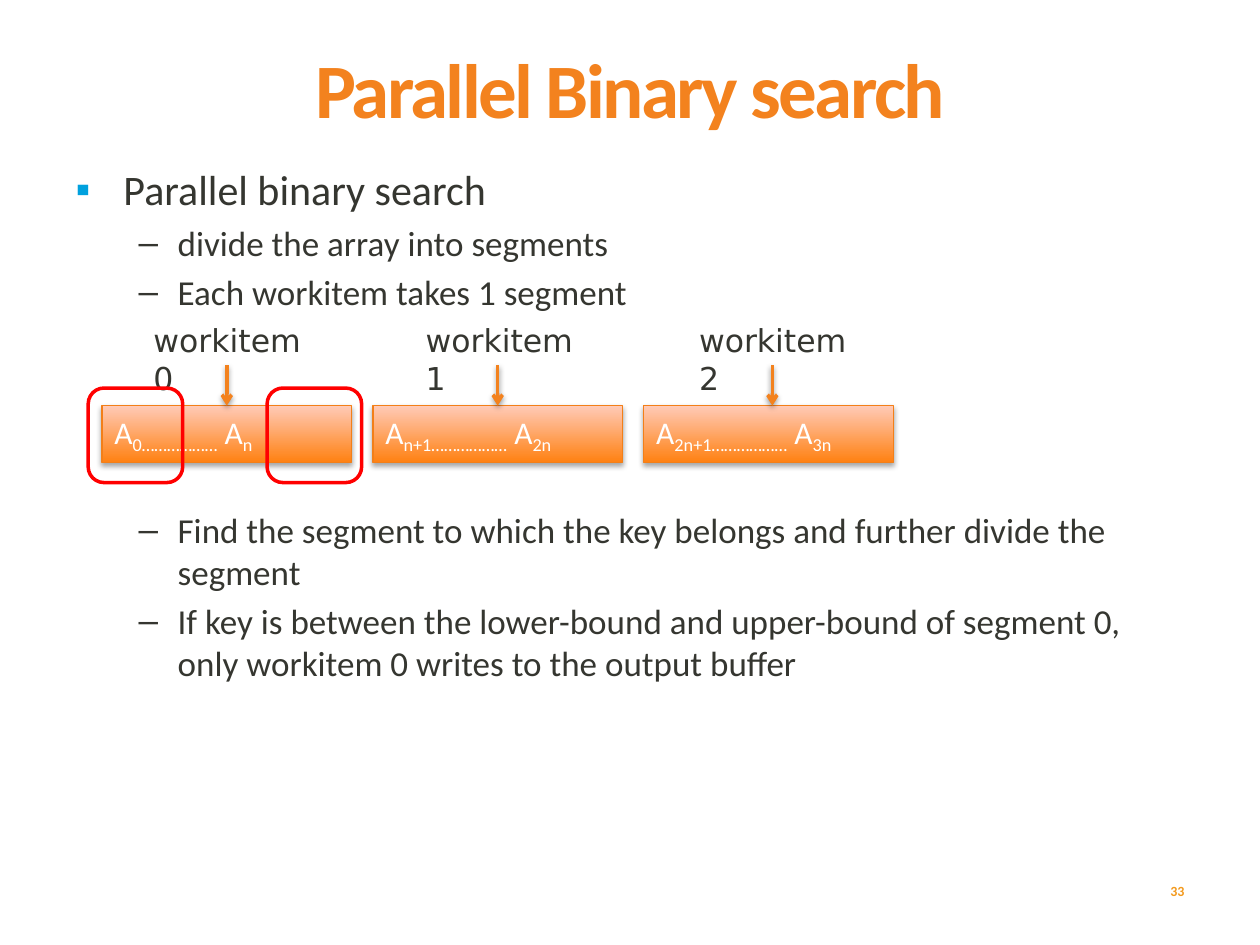
"""Build the slide on parallel binary search over array segments."""
import pptx
import pptx.dml.color
import pptx.enum.shapes
import pptx.enum.text
import pptx.oxml
import pptx.oxml.ns
import pptx.util

Inches = pptx.util.Inches
Pt = pptx.util.Pt
RGBColor = pptx.dml.color.RGBColor
Align = pptx.enum.text.PP_ALIGN
Anchor = pptx.enum.text.MSO_ANCHOR
Shape = pptx.enum.shapes.MSO_SHAPE

ORANGE = RGBColor(0xF3, 0x82, 0x1E)
NUMBER_ORANGE = RGBColor(0xF3, 0x9A, 0x1E)
BORDER_ORANGE = RGBColor(0xF3, 0x7F, 0x18)
DEEP_ORANGE = RGBColor(0xFF, 0x81, 0x12)
PALE_ORANGE = RGBColor(0xFF, 0xCA, 0xB7)
DARK_GRAY = RGBColor(0x35, 0x36, 0x30)
RED = RGBColor(0xFF, 0x00, 0x00)
WHITE = RGBColor(0xFF, 0xFF, 0xFF)
NAMESPACE = pptx.oxml.ns.nsdecls("a")


def apply_format(font, color, **values):
    for name, value in values.items():
        setattr(font, name, value)
    font.color.rgb = color


def add_shadow(properties, alpha, distance):
    properties.append(pptx.oxml.parse_xml(
        f'<a:effectLst {NAMESPACE}><a:outerShdw blurRad="{Pt(3.1)}" dist="{Pt(distance)}" '
        f'dir="5400000" rotWithShape="0"><a:srgbClr val="000000">'
        f'<a:alpha val="{alpha * 1000}"/></a:srgbClr></a:outerShdw></a:effectLst>'))


presentation = pptx.Presentation()
presentation.slide_width, presentation.slide_height = Inches(10), Inches(7.5)
slide = presentation.slides.add_slide(presentation.slide_layouts[1])
shapes = slide.shapes

title = shapes.title
title_box = {"left": Inches(0.5), "top": Inches(0.47), "width": Inches(9), "height": Inches(1.24)}
for name, value in title_box.items():
    setattr(title, name, value)
title_frame = title.text_frame
title_format = {"auto_size": pptx.enum.text.MSO_AUTO_SIZE.NONE, "vertical_anchor": Anchor.TOP,
                "margin_top": 0}
for name, value in title_format.items():
    setattr(title_frame, name, value)
paragraph = title_frame.paragraphs[0]
paragraph.alignment, paragraph.line_spacing = Align.CENTER, 0.8
run = paragraph.add_run()
run.text = "Parallel Binary search"
apply_format(run.font, ORANGE, name="Calibri", size=Pt(44), bold=True)
run._r.get_or_add_rPr().set("spc", "-150")

number_box = shapes.add_textbox(Inches(8.34), Inches(6.87), Inches(1.16), Inches(0.4))
number_box.text_frame.word_wrap = True
number_box.text_frame.vertical_anchor = Anchor.MIDDLE
paragraph = number_box.text_frame.paragraphs[0]
paragraph.alignment = Align.RIGHT
run = paragraph.add_run()
run.text = "33"
apply_format(run.font, NUMBER_ORANGE, name="Calibri", size=Pt(8), bold=True)

body = slide.placeholders[1]
body_box = {"left": Inches(0.5), "top": Inches(1.25), "width": Inches(9), "height": Inches(5.5)}
for name, value in body_box.items():
    setattr(body, name, value)
body.text_frame.auto_size = pptx.enum.text.MSO_AUTO_SIZE.NONE
levels = [
    {"size": 24, "margin": 0.38, "indent": -0.38, "bullet": "▪", "bullet_color": "00A1DE"},
    {"size": 20, "margin": 0.81, "indent": -0.31, "bullet": "–", "bullet_color": str(DARK_GRAY)},
]
points = [
    (0, 0, "Parallel binary search"),
    (1, 4, "divide the array into segments"),
    (1, 4, "Each workitem takes 1 segment"),
    (1, 112, "Find the segment to which the key belongs and further divide the segment"),
    (1, 4, "If key is between the lower-bound and upper-bound of segment 0, "
           "only workitem 0 writes to the output buffer"),
]
for index, (level, space_before, text) in enumerate(points):
    style = levels[level]
    paragraph = body.text_frame.add_paragraph() if index else body.text_frame.paragraphs[0]
    paragraph.level = level
    paragraph.space_before = Pt(space_before)
    properties = paragraph._p.get_or_add_pPr()
    properties.set("marL", str(Inches(style["margin"])))
    properties.set("indent", str(Inches(style["indent"])))
    for element in (f'<a:buClr {NAMESPACE}><a:srgbClr val="{style["bullet_color"]}"/></a:buClr>',
                    f'<a:buChar {NAMESPACE} char="{style["bullet"]}"/>'):
        properties.append(pptx.oxml.parse_xml(element))
    run = paragraph.add_run()
    run.text = text
    apply_format(run.font, DARK_GRAY, name="Calibri", size=Pt(style["size"]))

segments = [
    ("0", "n", 1.12, 1.8, True),
    ("n+1", "2n", 3.28, 3.95, True),
    ("2n+1", "3n", 5.45, 6.13, False),
]
for index, (first, last, label_left, arrow_x, centered) in enumerate(segments):
    segment = shapes.add_shape(Shape.RECTANGLE, Inches(0.81 + 2.15 * index), Inches(3.22),
                               Inches(1.98), Inches(0.45))
    segment.fill.gradient()
    segment.fill.gradient_angle = 90
    for stop, color, position in zip(segment.fill.gradient_stops, (DEEP_ORANGE, PALE_ORANGE), (0, 1)):
        stop.color.rgb, stop.position = color, position
    segment.line.color.rgb, segment.line.width = BORDER_ORANGE, Pt(0.75)
    add_shadow(segment._element.spPr, 35, 1.8)
    segment.text_frame.vertical_anchor = Anchor.MIDDLE
    paragraph = segment.text_frame.paragraphs[0]
    paragraph.alignment = Align.JUSTIFY
    for text, baseline in (("A", 0), (first + "………………", -25), (" A", 0), (last, -25)):
        run = paragraph.add_run()
        run.text = text
        apply_format(run.font, WHITE, name="Calibri", size=Pt(18))
        run._r.get_or_add_rPr().set("baseline", str(baseline * 1000))

    label = shapes.add_textbox(Inches(label_left), Inches(2.5), Inches(1.37), Inches(0.4))
    label.text_frame.word_wrap = True
    run = label.text_frame.paragraphs[0].add_run()
    run.text = f"workitem {index}"
    apply_format(run.font, DARK_GRAY, name="DejaVu Sans", size=Pt(18))

    arrow = shapes.add_connector(pptx.enum.shapes.MSO_CONNECTOR.STRAIGHT, Inches(arrow_x),
                                 Inches(2.9), Inches(arrow_x), Inches(3.22))
    if centered:
        arrow.end_connect(segment, 0)
    arrow.line.color.rgb, arrow.line.width = ORANGE, Pt(2)
    arrow.line._get_or_add_ln().append(pptx.oxml.parse_xml(f'<a:tailEnd {NAMESPACE} type="arrow"/>'))
    add_shadow(arrow._element.spPr, 38, 1.6)

for left in (0.7, 2.12):
    bound = shapes.add_shape(Shape.ROUNDED_RECTANGLE, Inches(left), Inches(3.08),
                             Inches(0.75), Inches(0.75))
    bound.shadow.inherit = False
    bound.fill.background()
    bound.line.color.rgb, bound.line.width = RED, Pt(2)

presentation.save("out.pptx")
